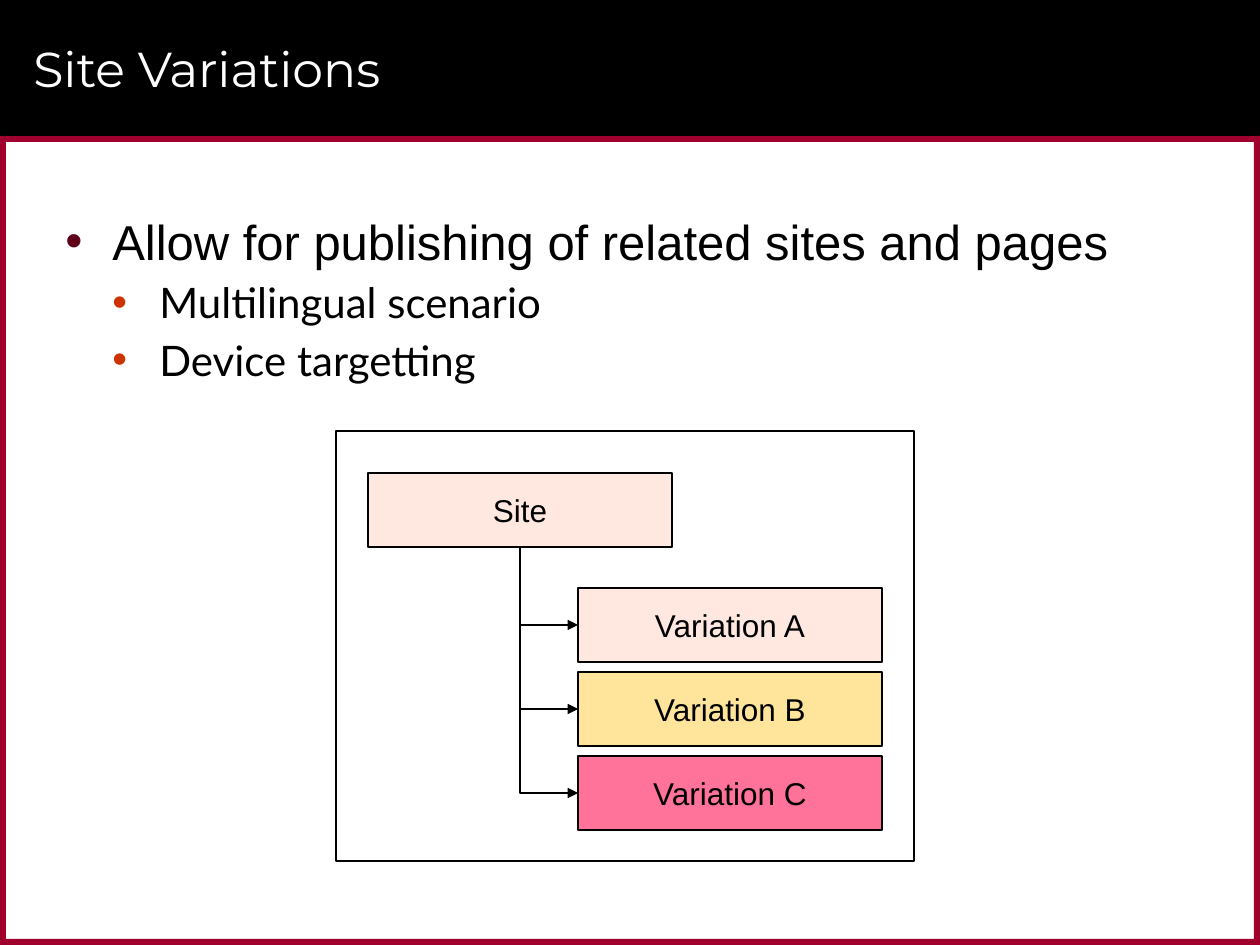
from pptx import Presentation
from pptx.dml.color import RGBColor
from pptx.enum.shapes import MSO_CONNECTOR, MSO_SHAPE
from pptx.enum.text import MSO_ANCHOR, PP_ALIGN
from pptx.oxml.ns import qn
from pptx.oxml.xmlchemy import OxmlElement
from pptx.util import Emu, Pt

RECT = MSO_SHAPE.RECTANGLE
ELBOW = MSO_CONNECTOR.ELBOW
MIDDLE = MSO_ANCHOR.MIDDLE
CENTER = PP_ALIGN.CENTER
BOTTOM, LEFT = 2, 1
SCALE = 914400 / 126

COLORS = {
    "black": "000000",
    "white": "FFFFFF",
    "crimson": "9F002D",
    "wine": "60001B",
    "rust": "CC3300",
    "peach": "FFE8E0",
    "yellow": "FFE59B",
    "pink": "FF739A",
}


def px(n):
    return Emu(round(n * SCALE))


def rgb(name):
    return RGBColor.from_string(COLORS[name])


class Deck:
    def __init__(self, wide, high):
        self.prs = Presentation()
        self.prs.slide_width, self.prs.slide_height = px(wide), px(high)
        self.slide = self.prs.slides.add_slide(self.prs.slide_layouts[6])
        self.shapes = self.slide.shapes

    def style(self, para, size, font, color):
        for run in para.runs:
            run.font.size = Pt(size)
            run.font.name = font
            run.font.color.rgb = rgb(color)

    def rect(self, x, y, w, h, fill, edge=None, text=None):
        box = self.shapes.add_shape(RECT, px(x), px(y), px(w), px(h))
        box.shadow.inherit = False
        box.fill.solid()
        box.fill.fore_color.rgb = rgb(fill)
        if edge:
            box.line.color.rgb = rgb(edge)
            box.line.width = Pt(0.75)
        else:
            box.line.fill.background()
        if text:
            frame = box.text_frame
            frame.text = text
            frame.word_wrap = False
            frame.vertical_anchor = MIDDLE
            para = frame.paragraphs[0]
            para.alignment = CENTER
            self.style(para, 18, "Arial", "black")
        return box

    def text(self, x, y, w, h):
        frame = self.shapes.add_textbox(px(x), px(y), px(w), px(h)).text_frame
        frame.word_wrap = True
        return frame

    def title(self, x, y, w, h, text):
        frame = self.text(x, y, w, h)
        frame.vertical_anchor = MIDDLE
        frame.text = text
        self.style(frame.paragraphs[0], 28, "Montserrat", "white")

    def bullet(self, para, level, color):
        para.level = level
        props = para._p.get_or_add_pPr()
        props.set("marL", str(px(47 * (level + 1))))
        props.set("indent", str(-px(47)))
        tint = OxmlElement("a:buClr")
        shade = OxmlElement("a:srgbClr")
        shade.set("val", COLORS[color])
        tint.append(shade)
        face = OxmlElement("a:buFont")
        face.set("typeface", "Arial")
        mark = OxmlElement("a:buChar")
        mark.set("char", "•")
        props.extend([tint, face, mark])

    def list(self, x, y, w, h, items):
        frame = self.text(x, y, w, h)
        frame.margin_top = px(12)
        frame.text = "\n".join(item[1] for item in items)
        for i, (level, _) in enumerate(items):
            para = frame.paragraphs[i]
            if i:
                para.space_before = Pt(4)
            self.bullet(para, level, "rust" if level else "wine")
            size, font = (24, "Lato") if level else (28, "Arial")
            self.style(para, size, font, "black")

    def arrow(self, start, end):
        link = self.shapes.add_connector(ELBOW, 0, 0, 0, 0)
        link.begin_connect(start, BOTTOM)
        link.end_connect(end, LEFT)
        link.line.color.rgb = rgb("black")
        link.line.width = Pt(0.75)
        head = OxmlElement("a:tailEnd")
        head.set("type", "triangle")
        link.line._get_or_add_ln().append(head)
        props = link._element.spPr
        props.append(OxmlElement("a:effectLst"))
        props.find(qn("a:prstGeom")).set("prst", "bentConnector2")
        x, y = start.left + start.width // 2, start.top + start.height
        wide = end.left - x
        high = end.top + end.height // 2 - y
        link.left = Emu(x + (wide - high) // 2)
        link.top = Emu(y + (high - wide) // 2)
        link.width, link.height = Emu(high), Emu(wide)
        turn = props.find(qn("a:xfrm"))
        turn.set("rot", "16200000")
        turn.set("flipH", "1")


def main():
    deck = Deck(1260, 945)
    deck.rect(0, 0, 1260, 136, "black")
    for y in (136, 939):
        deck.rect(0, y, 1260, 6, "crimson")
    for x in (1254, 0):
        deck.rect(x, 136, 6, 809, "crimson")

    deck.title(21, 10, 1187, 116, "Site Variations")
    deck.list(53, 199, 1155, 714, [
        (0, "Allow for publishing of related sites and pages"),
        (1, "Multilingual scenario"),
        (1, "Device targetting"),
    ])

    deck.rect(336, 431, 578, 430, "white", "black")
    site = deck.rect(368, 473, 304, 74, "peach", "black", "Site")
    kinds = [("A", "peach"), ("B", "yellow"), ("C", "pink")]
    boxes = [
        deck.rect(578, 588 + 84 * i, 304, 74, fill, "black", f"Variation {name}")
        for i, (name, fill) in enumerate(kinds)
    ]
    for box in boxes:
        deck.arrow(site, box)

    deck.prs.save("out.pptx")


if __name__ == "__main__":
    main()
